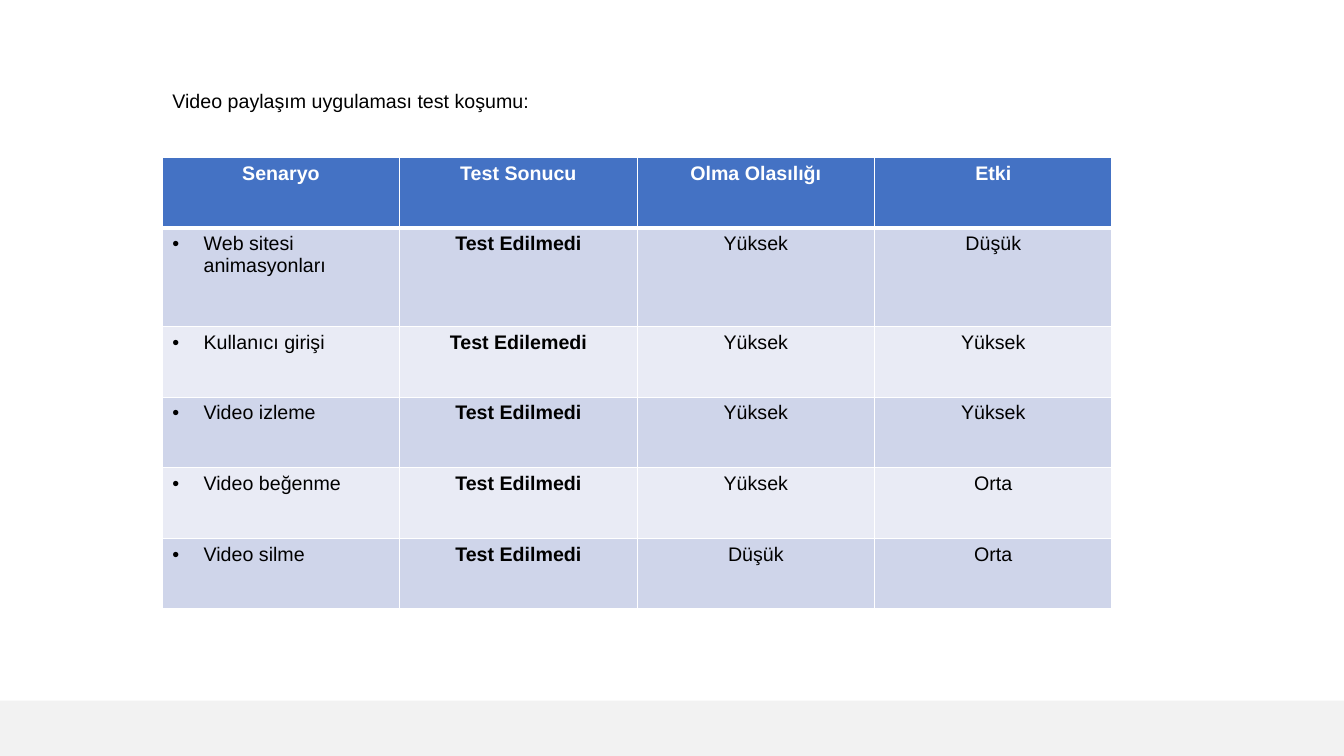
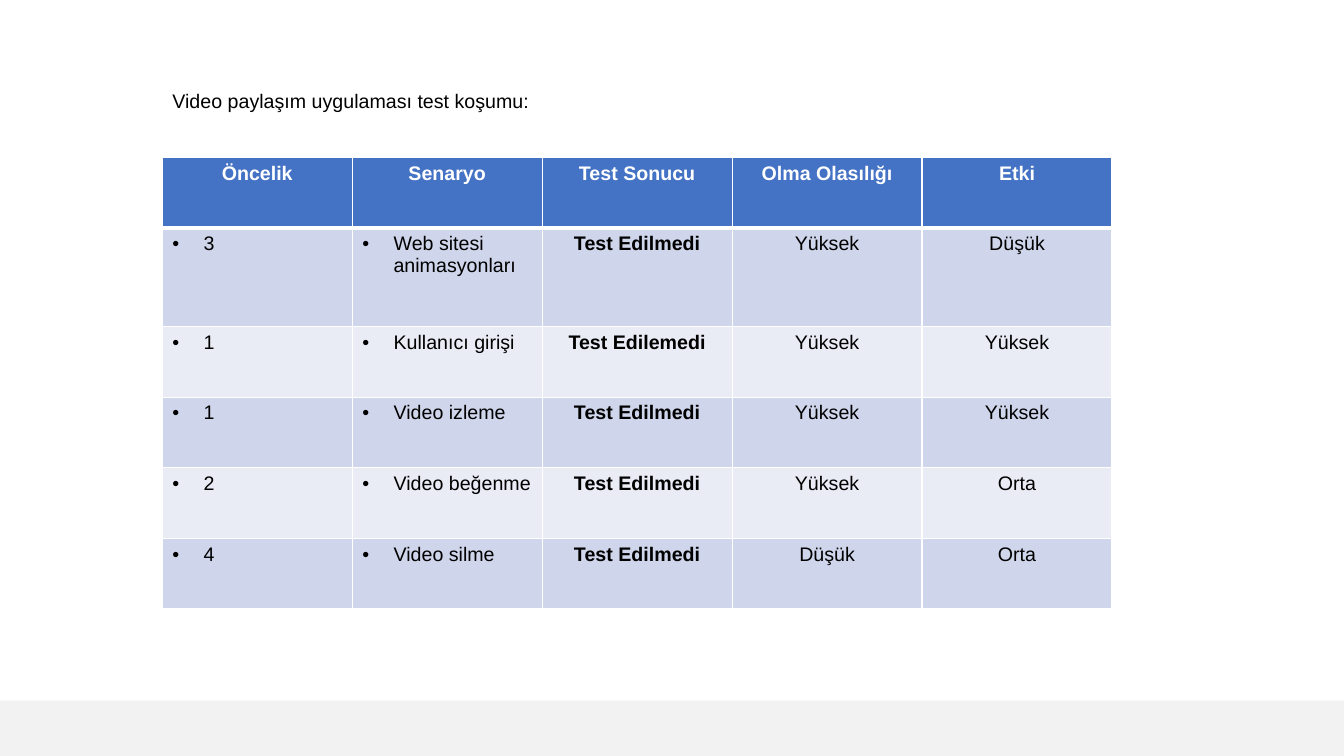
from lxml import etree
from pptx import Presentation
from pptx.dml.color import RGBColor
from pptx.enum.shapes import MSO_SHAPE
from pptx.enum.text import MSO_ANCHOR, MSO_AUTO_SIZE, PP_ALIGN
from pptx.oxml.ns import qn
from pptx.util import Inches, Pt

RECTANGLE = MSO_SHAPE.RECTANGLE
TOP = MSO_ANCHOR.TOP
FIT_SHAPE = MSO_AUTO_SIZE.SHAPE_TO_FIT_TEXT
LEFT, CENTER = PP_ALIGN.LEFT, PP_ALIGN.CENTER

COLORS = {
    "text": "000000",
    "white": "FFFFFF",
    "footer": "F2F2F2",
    "header": "4472C4",
    "odd_row": "CFD5EA",
    "even_row": "E9EBF5",
}
FONT = "Arial"
TITLE_ONLY = 5
SLIDE_WIDTH, SLIDE_HEIGHT = Inches(13.33), Inches(7.5)
FOOTER_HEIGHT = Inches(0.55)
CONTENT_LEFT, TABLE_TOP, TABLE_WIDTH = Inches(1.61), Inches(1.56), Inches(9.42)
ROW_HEIGHT, TALL_ROW_HEIGHT = Inches(0.7), Inches(0.98)
BULLET_INDENT = Inches(0.31)
THIN, THICK = Pt(1), Pt(3)

TITLE = "Video paylaşım uygulaması test koşumu:"
HEADINGS = ["Senaryo", "Test Sonucu", "Olma Olasılığı", "Etki"]
TEST_RUNS = [
    ["Web sitesi animasyonları", "Test Edilmedi", "Yüksek", "Düşük"],
    ["Kullanıcı girişi", "Test Edilemedi", "Yüksek", "Yüksek"],
    ["Video izleme", "Test Edilmedi", "Yüksek", "Yüksek"],
    ["Video beğenme", "Test Edilmedi", "Yüksek", "Orta"],
    ["Video silme", "Test Edilmedi", "Düşük", "Orta"],
]
PRIORITIES = ["3", "1", "1", "2", "4"]


def add_bullet(paragraph):
    properties = paragraph._p.get_or_add_pPr()
    properties.set("marL", str(BULLET_INDENT))
    properties.set("indent", str(-BULLET_INDENT))
    color = etree.SubElement(properties, qn("a:buClr"))
    etree.SubElement(color, qn("a:srgbClr"), val=COLORS["text"])
    etree.SubElement(properties, qn("a:buFont"), typeface=FONT)
    etree.SubElement(properties, qn("a:buChar"), char="•")


def add_borders(cell, top, bottom):
    """Draw white cell borders; call before filling, as the schema wants lines first."""
    properties = cell._tc.get_or_add_tcPr()
    for side, width in (("L", THIN), ("R", THIN), ("T", top), ("B", bottom)):
        line = etree.SubElement(properties, qn(f"a:ln{side}"), w=str(width))
        fill = etree.SubElement(line, qn("a:solidFill"))
        etree.SubElement(fill, qn("a:srgbClr"), val=COLORS["white"])


class Deck:
    def __init__(self):
        self.presentation = Presentation()
        self.presentation.slide_width = SLIDE_WIDTH
        self.presentation.slide_height = SLIDE_HEIGHT
        self.slide = None

    def start_slide(self, title):
        layout = self.presentation.slide_layouts[TITLE_ONLY]
        self.slide = self.presentation.slides.add_slide(layout)
        self.add_footer_band()
        self.set_title(title)

    def paint(self, target, color):
        target.fill.solid()
        target.fill.fore_color.rgb = RGBColor.from_string(COLORS[color])

    def style(self, paragraph, color="text", bold=False, alignment=LEFT):
        paragraph.alignment = alignment
        font = paragraph.font
        font.name, font.size, font.bold = FONT, Pt(14), bold
        font.color.rgb = RGBColor.from_string(COLORS[color])

    def add_footer_band(self):
        band = self.slide.shapes.add_shape(
            RECTANGLE, 0, SLIDE_HEIGHT - FOOTER_HEIGHT, SLIDE_WIDTH, FOOTER_HEIGHT)
        band.shadow.inherit = False
        band.line.fill.background()
        self.paint(band, "footer")

    def set_title(self, text):
        title = self.slide.shapes.title
        title.left, title.top = CONTENT_LEFT, Inches(0.83)
        title.width, title.height = Inches(3.76), Inches(0.34)
        frame = title.text_frame
        frame.text = text
        frame.word_wrap = False
        frame.auto_size = FIT_SHAPE
        frame.vertical_anchor = TOP
        self.style(frame.paragraphs[0])

    def add_table(self, headings, rows):
        heights = [ROW_HEIGHT, TALL_ROW_HEIGHT] + [ROW_HEIGHT] * (len(rows) - 1)
        table = self.slide.shapes.add_table(
            len(heights), len(headings), CONTENT_LEFT, TABLE_TOP,
            TABLE_WIDTH, sum(heights)).table
        for row, height in zip(table.rows, heights):
            row.height = height
        for column, heading in enumerate(headings):
            self.fill_header_cell(table.cell(0, column), heading)
            for number, row in enumerate(rows, start=1):
                self.fill_body_cell(
                    table.cell(number, column), row[column], heading, number)

    def fill_header_cell(self, cell, text):
        cell.text = text
        add_borders(cell, THIN, THICK)
        self.paint(cell, "header")
        self.style(cell.text_frame.paragraphs[0], "white", True, CENTER)

    def fill_body_cell(self, cell, text, heading, number):
        cell.text = text
        add_borders(cell, THICK if number == 1 else THIN, THIN)
        self.paint(cell, "odd_row" if number % 2 else "even_row")
        paragraph = cell.text_frame.paragraphs[0]
        bulleted = heading in ("Öncelik", "Senaryo")
        if bulleted:
            add_bullet(paragraph)
        self.style(paragraph, bold=heading == "Test Sonucu",
                   alignment=LEFT if bulleted else CENTER)


def main():
    deck = Deck()
    deck.start_slide(TITLE)
    deck.add_table(HEADINGS, TEST_RUNS)

    deck.start_slide(TITLE)
    prioritized = [[priority, *run] for priority, run in zip(PRIORITIES, TEST_RUNS)]
    deck.add_table(["Öncelik", *HEADINGS], prioritized)

    deck.presentation.save("out.pptx")


if __name__ == "__main__":
    main()
